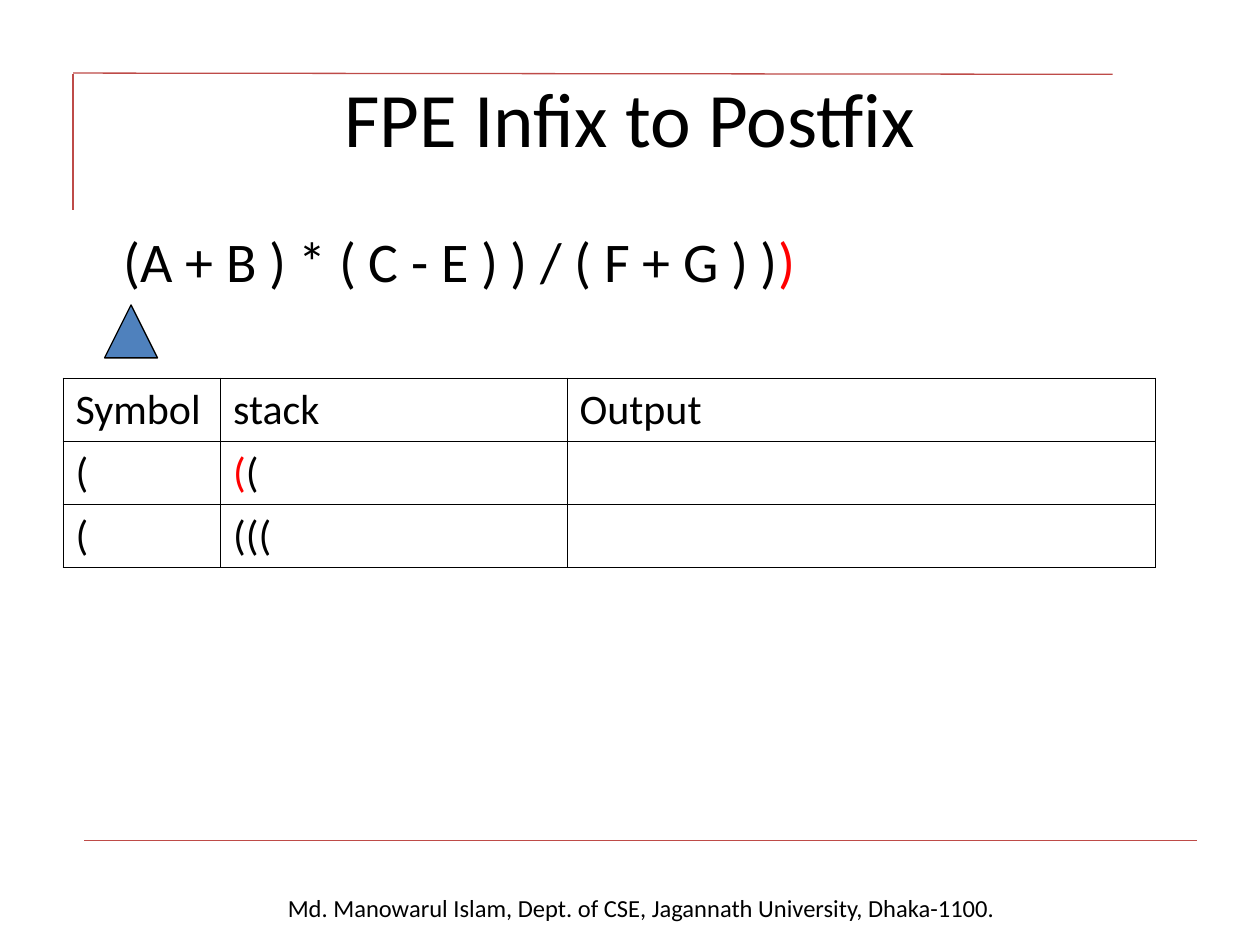
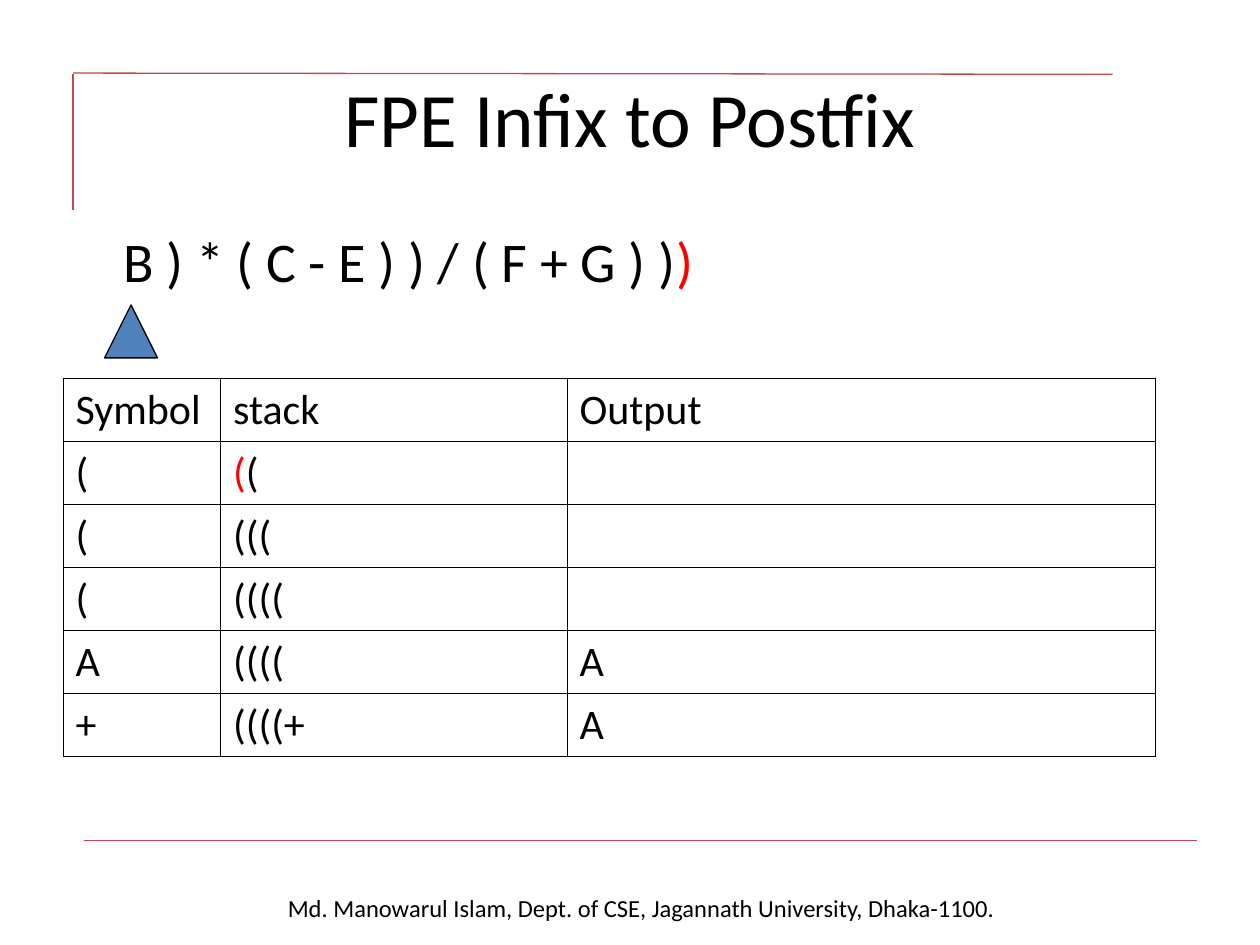
from lxml.etree import SubElement
from pptx import Presentation
from pptx.dml.color import RGBColor
from pptx.enum.shapes import MSO_CONNECTOR, MSO_SHAPE
from pptx.enum.text import MSO_ANCHOR, MSO_AUTO_SIZE, PP_ALIGN
from pptx.oxml.ns import qn
from pptx.util import Inches, Pt

BLACK = RGBColor(0x00, 0x00, 0x00)
RED = RGBColor(0xFF, 0x00, 0x00)
BLUE = RGBColor(0x4F, 0x81, 0xBD)
RULE_RED = RGBColor(0xBE, 0x4B, 0x48)
FONT = "Calibri"

TITLE = "FPE Infix to Postfix"
FOOTER = "Md. Manowarul Islam, Dept. of CSE, Jagannath University, Dhaka-1100."
RULES = [
    (0.58, 0.59, 0.58, 1.67),
    (0.58, 0.58, 8.83, 0.59),
    (0.67, 6.67, 9.5, 6.67),
]
TITLE_BOX = (0.5, 0.3, 9, 1.25)
EXPRESSION_BOX = (0.5, 1.75, 9, 4.95)
FOOTER_BOX = (0.38, 7.04, 9.42, 0.34)
POINTER_BOX = (0.83, 2.42, 0.42, 0.42)
TABLE_LEFT, TABLE_TOP, ROW_HEIGHT = 0.5, 3, 0.5
COLUMN_WIDTHS = [1.25, 2.75, 4.67]

HEADER = ["Symbol", "stack", "Output"]
FIRST_STEP = ["(", [("(", RED), ("(", BLACK)], ""]
STEPS = [
    ["(", "(((", ""],
    ["(", "((((", ""],
    ["A", "((((", "A"],
    ["+", "((((+", "A"],
]
SLIDES = [
    ("(A + B ) * ( C - E ) ) / ( F + G ) )", STEPS[:1]),
    ("B ) * ( C - E ) ) / ( F + G ) )", STEPS),
]


def inches(box):
    return [Inches(value) for value in box]


def write(paragraph, content, size):
    """Write plain black text, or a list of (text, colour) pieces."""
    pieces = [(content, BLACK)] if isinstance(content, str) else content
    for text, colour in pieces:
        if text:
            run = paragraph.add_run()
            run.text = text
            run.font.name = FONT
            run.font.size = Pt(size)
            run.font.color.rgb = colour


def place(shape, box):
    shape.left, shape.top, shape.width, shape.height = inches(box)
    shape.text_frame.auto_size = MSO_AUTO_SIZE.NONE
    return shape.text_frame


def add_rules(slide):
    for ends in RULES:
        rule = slide.shapes.add_connector(MSO_CONNECTOR.STRAIGHT, *inches(ends))
        rule.line.color.rgb = RULE_RED
        rule.line.width = Pt(0.75)
        SubElement(rule._element.spPr, qn("a:effectLst"))


def add_footer(slide, box):
    text_frame = slide.shapes.add_textbox(*inches(box)).text_frame
    text_frame.word_wrap = True
    paragraph = text_frame.paragraphs[0]
    paragraph.alignment = PP_ALIGN.CENTER
    write(paragraph, FOOTER, 14)


def fill_title(slide, box):
    text_frame = place(slide.shapes.title, box)
    text_frame.vertical_anchor = MSO_ANCHOR.MIDDLE
    paragraph = text_frame.paragraphs[0]
    paragraph.alignment = PP_ALIGN.CENTER
    write(paragraph, TITLE, 44)


def fill_expression(slide, box, expression):
    """Show the remaining input, closed by the added red parenthesis."""
    paragraph = place(slide.placeholders[1], box).paragraphs[0]
    properties = paragraph._p.get_or_add_pPr()
    properties.set("marL", str(Inches(0.38)))
    properties.set("indent", "0")
    SubElement(properties, qn("a:buNone"))
    paragraph.space_before = Pt(0)
    write(paragraph, [(expression, BLACK), (")", RED)], 32)


def add_pointer(slide, box):
    pointer = slide.shapes.add_shape(MSO_SHAPE.ISOSCELES_TRIANGLE, *inches(box))
    pointer.shadow.inherit = False
    pointer.fill.solid()
    pointer.fill.fore_color.rgb = BLUE
    pointer.line.color.rgb = BLACK
    pointer.line.width = Pt(0.75)


def set_borders(cell):
    properties = cell._tc.get_or_add_tcPr()
    for side in ("lnL", "lnR", "lnT", "lnB"):
        border = SubElement(properties, qn(f"a:{side}"), w=str(Pt(0.45)))
        fill = SubElement(border, qn("a:solidFill"))
        SubElement(fill, qn("a:srgbClr"), val=str(BLACK))


def add_step_table(slide, left, top, rows):
    box = (left, top, sum(COLUMN_WIDTHS), ROW_HEIGHT * len(rows))
    frame = slide.shapes.add_table(len(rows), len(COLUMN_WIDTHS), *inches(box))
    table = frame.table
    table.first_row = table.horz_banding = False
    for column, width in zip(table.columns, COLUMN_WIDTHS):
        column.width = Inches(width)
    for row, contents in zip(table.rows, rows):
        row.height = Inches(ROW_HEIGHT)
        for cell, content in zip(row.cells, contents):
            set_borders(cell)
            cell.fill.background()
            write(cell.text_frame.paragraphs[0], content, 24)


def add_conversion_slide(presentation, expression, steps):
    slide = presentation.slides.add_slide(presentation.slide_layouts[1])
    add_footer(slide, FOOTER_BOX)
    add_rules(slide)
    fill_title(slide, TITLE_BOX)
    fill_expression(slide, EXPRESSION_BOX, expression)
    add_pointer(slide, POINTER_BOX)
    add_step_table(slide, TABLE_LEFT, TABLE_TOP, [HEADER, FIRST_STEP, *steps])


def main():
    presentation = Presentation()
    presentation.slide_width = Inches(10)
    presentation.slide_height = Inches(7.5)
    for expression, steps in SLIDES:
        add_conversion_slide(presentation, expression, steps)
    presentation.save("out.pptx")


if __name__ == "__main__":
    main()
